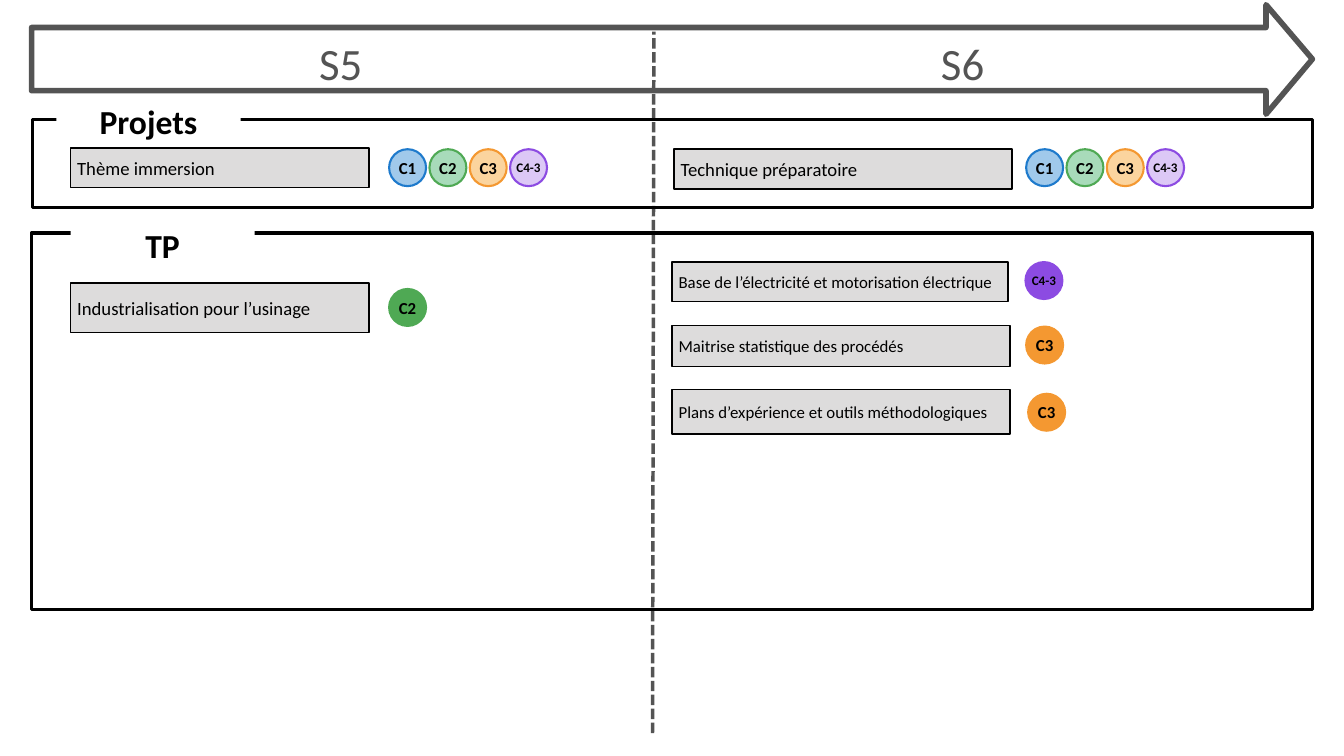
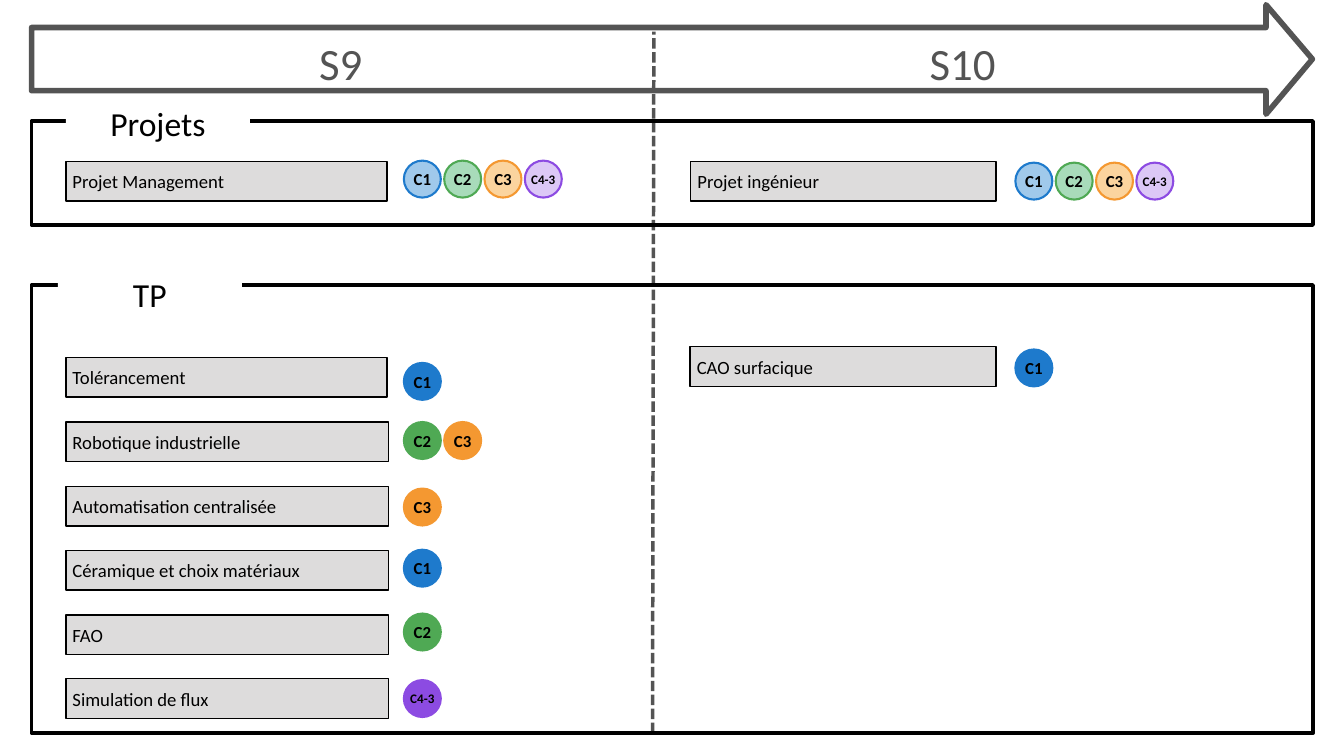
from lxml import etree
from pptx import Presentation
from pptx import util as u
from pptx.dml.color import RGBColor
from pptx.enum import dml, shapes, text
from pptx.oxml.ns import qn

PX = 9144  # 100 px to the inch
FONT = "Calibri"
BLACK = RGBColor(0x00, 0x00, 0x00)
WHITE = RGBColor(0xFF, 0xFF, 0xFF)
DARK_GREY = RGBColor(0x54, 0x54, 0x54)
LABEL_GREY = RGBColor(0xDD, 0xDC, 0xDC)
BLUE = RGBColor(0x1E, 0x7A, 0xCC)
GREEN = RGBColor(0x4F, 0xA9, 0x54)
ORANGE = RGBColor(0xF4, 0x98, 0x31)
PURPLE = RGBColor(0x8C, 0x4B, 0xE2)
LIGHT_BLUE = RGBColor(0xA0, 0xC9, 0xEB)
LIGHT_GREEN = RGBColor(0xA8, 0xDB, 0xBA)
LIGHT_ORANGE = RGBColor(0xFB, 0xD4, 0x9E)

TOP, MIDDLE = text.MSO_ANCHOR.TOP, text.MSO_ANCHOR.MIDDLE
LEFT, CENTER = text.PP_ALIGN.LEFT, text.PP_ALIGN.CENTER
RECTANGLE, OVAL = shapes.MSO_SHAPE.RECTANGLE, shapes.MSO_SHAPE.OVAL

# skill: (full colour, light fill, text size); the light purple is a 30 % tint
SKILLS = {
    "C1": (BLUE, LIGHT_BLUE, 18),
    "C2": (GREEN, LIGHT_GREEN, 18),
    "C3": (ORANGE, LIGHT_ORANGE, 18),
    "C4-3": (PURPLE, PURPLE, 14),
}
ALL_SKILLS = list(SKILLS)
BADGE_SIZE, BADGE_STEP = 55, 60
ARROW = [(1953, 88), (1884, 7), (1884, 41), (47, 41),
         (47, 135), (1884, 135), (1884, 170)]

# sections: title, frame, title tab, title anchor
# projects and practicals: name, label box, text size, badge left and top, skills
YEARS = [
    {
        "semesters": ("S5", "S6"), "semester_height": 83, "bold": True,
        "sections": [
            ("Projets", (48, 178, 1905, 131), (84, 149, 274, 61), MIDDLE),
            ("TP", (47, 347, 1906, 560), (105, 330, 274, 61), TOP),
        ],
        "projects": [
            ("Thème immersion", (105, 220, 444, 59), 20, (579, 222), ALL_SKILLS),
            ("Technique préparatoire", (1003, 222, 503, 59), 20, (1527, 222), ALL_SKILLS),
        ],
        "practicals": [
            ("Industrialisation pour l’usinage", (105, 421, 444, 74), 20, (579, 430), ["C2"]),
            ("Base de l’électricité et motorisation électrique",
             (1000, 390, 500, 59), 18, (1526, 390), ["C4-3"]),
            ("Maitrise statistique des procédés",
             (1000, 484, 503, 61), 18, (1527, 486), ["C3"]),
            ("Plans d’expérience et outils méthodologiques",
             (1000, 580, 503, 66), 18, (1530, 586), ["C3"]),
        ],
    },
    {
        "semesters": ("S9", "S10"), "semester_height": 170, "bold": False,
        "sections": [
            ("Projets", (47, 180, 1907, 155), (98, 152, 274, 61), MIDDLE),
            ("TP", (47, 424, 1907, 667), (86, 403, 274, 61), TOP),
        ],
        "projects": [
            ("Projet Management", (98, 240, 478, 59), 20, (601, 239), ALL_SKILLS),
            ("Projet ingénieur", (1028, 240, 454, 59), 20, (1511, 242), ALL_SKILLS),
        ],
        "practicals": [
            ("Tolérancement", (98, 532, 478, 59), 20, (601, 540), ["C1"]),
            ("Robotique industrielle", (98, 628, 480, 59), 20, (601, 628), ["C2", "C3"]),
            ("Automatisation centralisée", (98, 724, 480, 59), 20, (601, 727), ["C3"]),
            ("Céramique et choix matériaux", (98, 819, 480, 59), 20, (601, 818), ["C1"]),
            ("FAO", (98, 915, 480, 59), 20, (601, 913), ["C2"]),
            ("Simulation de flux", (98, 1010, 480, 59), 20, (601, 1012), ["C4-3"]),
            ("CAO surfacique", (1027, 516, 455, 59), 20, (1511, 520), ["C1"]),
        ],
    },
]


def add_block(slide, kind, box, fill=None, line=None, line_width=0):
    shape = slide.shapes.add_shape(kind, *(value * PX for value in box))
    shape.shadow.inherit = False
    if fill is None:
        shape.fill.background()
    else:
        shape.fill.solid()
        shape.fill.fore_color.rgb = fill
    if line is None:
        shape.line.fill.background()
    else:
        shape.line.color.rgb = line
        shape.line.width = u.Pt(line_width)
    return shape


def write(shape, words, size, color=BLACK, bold=False, align=CENTER,
          anchor=MIDDLE, inset=True):
    """Put one run in the shape and return it; inset=False removes the margins."""
    frame = shape.text_frame
    frame.word_wrap = True
    frame.vertical_anchor = anchor
    if not inset:
        frame.margin_left = frame.margin_top = 0
        frame.margin_right = frame.margin_bottom = 0
    paragraph = frame.paragraphs[0]
    paragraph.alignment = align
    run = paragraph.add_run()
    run.text = words
    run.font.name = FONT
    run.font.size = u.Pt(size)
    run.font.bold = bold
    run.font.color.rgb = color
    return run


presentation = Presentation()
presentation.slide_width = 2000 * PX
presentation.slide_height = 1125 * PX

for year in YEARS:
    slide = presentation.slides.add_slide(presentation.slide_layouts[6])

    builder = slide.shapes.build_freeform(*ARROW[0], scale=PX)
    builder.add_line_segments(ARROW[1:], close=True)
    arrow = builder.convert_to_shape()
    arrow.shadow.inherit = False
    arrow.fill.background()
    arrow.line.color.rgb = DARK_GREY
    arrow.line.width = u.Pt(6)

    divider = slide.shapes.add_connector(
        shapes.MSO_CONNECTOR.STRAIGHT, 971 * PX, 1091 * PX, 973 * PX, 47 * PX)
    divider.line.color.rgb = DARK_GREY
    divider.line.width = u.Pt(3.75)
    divider.line.dash_style = dml.MSO_LINE.SQUARE_DOT
    etree.SubElement(divider.line._get_or_add_ln().getparent(), qn("a:effectLst"))

    for semester, (left, width) in zip(year["semesters"], [(50, 914), (981, 903)]):
        heading = slide.shapes.add_textbox(
            left * PX, 46 * PX, width * PX, year["semester_height"] * PX)
        run = write(heading, semester, 48, DARK_GREY, anchor=TOP, inset=False)
        run.font._element.set("spc", "-1")
        heading.text_frame.paragraphs[0].line_spacing = u.Pt(62.4)

    for title, frame_box, tab_box, anchor in year["sections"]:
        add_block(slide, RECTANGLE, frame_box, line=BLACK, line_width=3.75)
        tab = add_block(slide, RECTANGLE, tab_box, fill=WHITE)
        write(tab, title, 36, bold=year["bold"], anchor=anchor)

    for group in ("projects", "practicals"):
        for name, label_box, size, (left, top), skills in year[group]:
            label = add_block(slide, RECTANGLE, label_box, LABEL_GREY, BLACK, 1.5)
            write(label, name, size, align=LEFT)
            for index, skill in enumerate(skills):
                color, light, badge_text = SKILLS[skill]
                fill = light if group == "projects" else color
                badge_box = (left + index * BADGE_STEP, top, BADGE_SIZE, BADGE_SIZE)
                badge = add_block(slide, OVAL, badge_box, fill, color, 2.25)
                write(badge, skill, badge_text, bold=True, inset=False)
                if group == "projects" and light == color:
                    tint = badge.fill._xPr.find(qn("a:solidFill"))[0]
                    etree.SubElement(tint, qn("a:alpha"), val="30000")

presentation.save("out.pptx")
